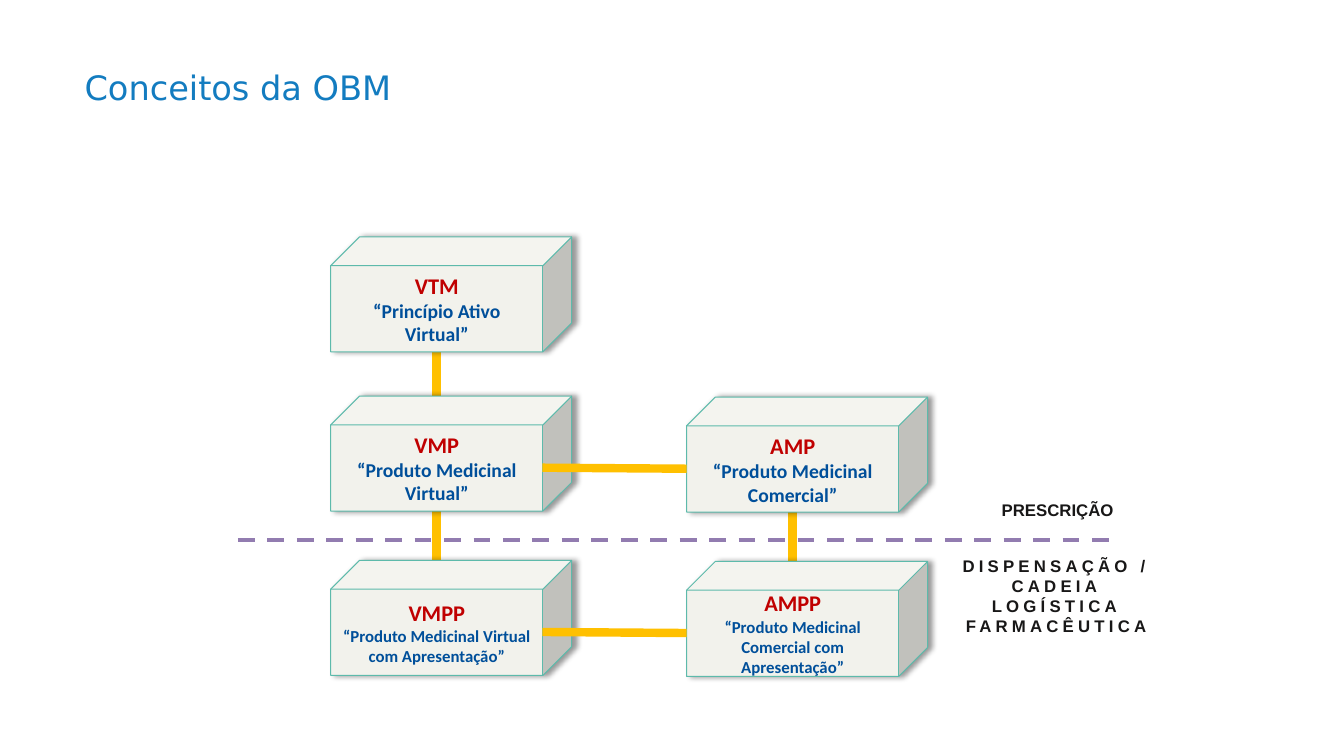
from dataclasses import dataclass

import lxml.etree
import pptx
import pptx.dml.color
import pptx.enum.dml
import pptx.enum.shapes
import pptx.enum.text
import pptx.oxml.ns
import pptx.util

Inches = pptx.util.Inches
Pt = pptx.util.Pt
Align = pptx.enum.text.PP_ALIGN
Anchor = pptx.enum.text.MSO_ANCHOR
qn = pptx.oxml.ns.qn

LINK_COLOR = "FFC000"
CUBE_WIDTH, CUBE_HEIGHT = 2.39, 1.14
VIRTUAL_LEFT, COMMERCIAL_LEFT = 3.28, 6.81


@dataclass
class Concept:
    left: float
    top: float
    code: str
    meaning: str
    meaning_size: int


@dataclass
class Line:
    start: tuple[float, float]
    end: tuple[float, float]
    color: str = LINK_COLOR
    width: float = 6
    dashed: bool = False


@dataclass
class Label:
    text: str
    box: tuple[float, float, float, float]
    font: dict
    align: Align = Align.CENTER
    anchor: Anchor = Anchor.TOP
    line_spacing: float = 1.0
    tracking: float = 0


def rgb(color: str) -> pptx.dml.color.RGBColor:
    return pptx.dml.color.RGBColor.from_string(color)


def format_font(font, values: dict) -> None:
    for name, value in values.items():
        if name == "color":
            font.color.rgb = rgb(value)
        else:
            setattr(font, name, value)


def add_effects(shape) -> lxml.etree._Element:
    return lxml.etree.SubElement(shape._element.spPr, qn("a:effectLst"))


def draw_line(slide, line: Line) -> None:
    ends = [Inches(value) for value in (*line.start, *line.end)]
    connector = slide.shapes.add_connector(
        pptx.enum.shapes.MSO_CONNECTOR.STRAIGHT, *ends)
    connector.line.color.rgb = rgb(line.color)
    connector.line.width = Pt(line.width)
    if line.dashed:
        connector.line.dash_style = pptx.enum.dml.MSO_LINE.DASH
    add_effects(connector)


def draw_concept(slide, concept: Concept) -> None:
    cube = slide.shapes.add_shape(
        pptx.enum.shapes.MSO_SHAPE.CUBE, Inches(concept.left),
        Inches(concept.top), Inches(CUBE_WIDTH), Inches(CUBE_HEIGHT))
    cube.fill.solid()
    cube.fill.fore_color.rgb = rgb("F2F2EC")
    cube.line.color.rgb = rgb("5DBAAB")
    cube.line.width = Pt(0.75)

    # Soft shadow to the right
    shadow = lxml.etree.SubElement(
        add_effects(cube), qn("a:outerShdw"), blurRad=str(Pt(4)),
        dist=str(Pt(3)), dir="0", algn="l", rotWithShape="0")
    shade = lxml.etree.SubElement(shadow, qn("a:srgbClr"), val="000000")
    lxml.etree.SubElement(shade, qn("a:alpha"), val="40000")

    # Code above its meaning
    frame = cube.text_frame
    frame.word_wrap = True
    frame.vertical_anchor = Anchor.MIDDLE
    rows = [(concept.code, 16, "C00000"),
            (concept.meaning, concept.meaning_size, "004F9A")]
    for index, (text, size, color) in enumerate(rows):
        paragraph = frame.add_paragraph() if index else frame.paragraphs[0]
        paragraph.alignment = Align.CENTER
        run = paragraph.add_run()
        run.text = text
        format_font(run.font, {"name": "Calibri", "size": Pt(size),
                               "bold": True, "color": color})


def draw_label(slide, label: Label) -> None:
    box = slide.shapes.add_textbox(*[Inches(value) for value in label.box])
    frame = box.text_frame
    frame.word_wrap = True
    frame.vertical_anchor = label.anchor
    paragraph = frame.paragraphs[0]
    paragraph.alignment = label.align
    paragraph.line_spacing = label.line_spacing
    run = paragraph.add_run()
    run.text = label.text
    format_font(run.font, label.font)
    if label.tracking:
        run._r.get_or_add_rPr().set("spc", str(round(label.tracking * 100)))


TITLE = Label(
    "Conceitos da OBM", (0.74, 0.16, 10.57, 1.45),
    {"name": "DejaVu Sans", "size": Pt(24), "color": "137CC0"},
    align=Align.JUSTIFY, anchor=Anchor.MIDDLE, line_spacing=0.9)

STAGE_FONT = {"name": "Arial", "size": Pt(12), "bold": True, "color": "181717"}
PRESCRIPTION = Label("PRESCRIÇÃO", (9.7, 4.91, 1.58, 0.3), STAGE_FONT)
DISPENSING = Label("DISPENSAÇÃO / CADEIA LOGÍSTICA FARMACÊUTICA",
                   (9.35, 5.46, 2.25, 0.91), STAGE_FONT, tracking=3)

CONCEPTS = [
    Concept(VIRTUAL_LEFT, 2.35, "VTM", "“Princípio Ativo Virtual”", 14),
    Concept(VIRTUAL_LEFT, 3.93, "VMP", "“Produto Medicinal Virtual”", 14),
    Concept(VIRTUAL_LEFT, 5.56, "VMPP",
            "“Produto Medicinal Virtual com Apresentação”", 12),
    Concept(COMMERCIAL_LEFT, 3.94, "AMP", "“Produto Medicinal Comercial”", 14),
    Concept(COMMERCIAL_LEFT, 5.57, "AMPP",
            "“Produto Medicinal Comercial com Apresentação”", 12),
]

VERTICAL_LINKS = [Line((x, top), (x, bottom)) for x, top, bottom in
                  [(7.86, 5.08, 5.85), (4.33, 3.49, 4.21), (4.33, 5.07, 5.85)]]
HORIZONTAL_LINKS = [Line((COMMERCIAL_LEFT, y), (5.38, y - 0.01))
                    for y in (4.65, 6.28)]
STAGE_DIVIDER = Line((2.36, 5.36), (11.03, 5.36), "927CB0", 3, dashed=True)


def main() -> None:
    deck = pptx.Presentation()
    deck.slide_width, deck.slide_height = Inches(13.33), Inches(7.5)
    slide = deck.slides.add_slide(deck.slide_layouts[6])

    # Title, then the links that run behind the cubes
    draw_label(slide, TITLE)
    for link in VERTICAL_LINKS:
        draw_line(slide, link)

    # Concepts
    for concept in CONCEPTS:
        draw_concept(slide, concept)

    # Stages and the links in front of the cubes
    draw_label(slide, PRESCRIPTION)
    for line in [STAGE_DIVIDER, *HORIZONTAL_LINKS]:
        draw_line(slide, line)
    draw_label(slide, DISPENSING)

    deck.save("out.pptx")


if __name__ == "__main__":
    main()
